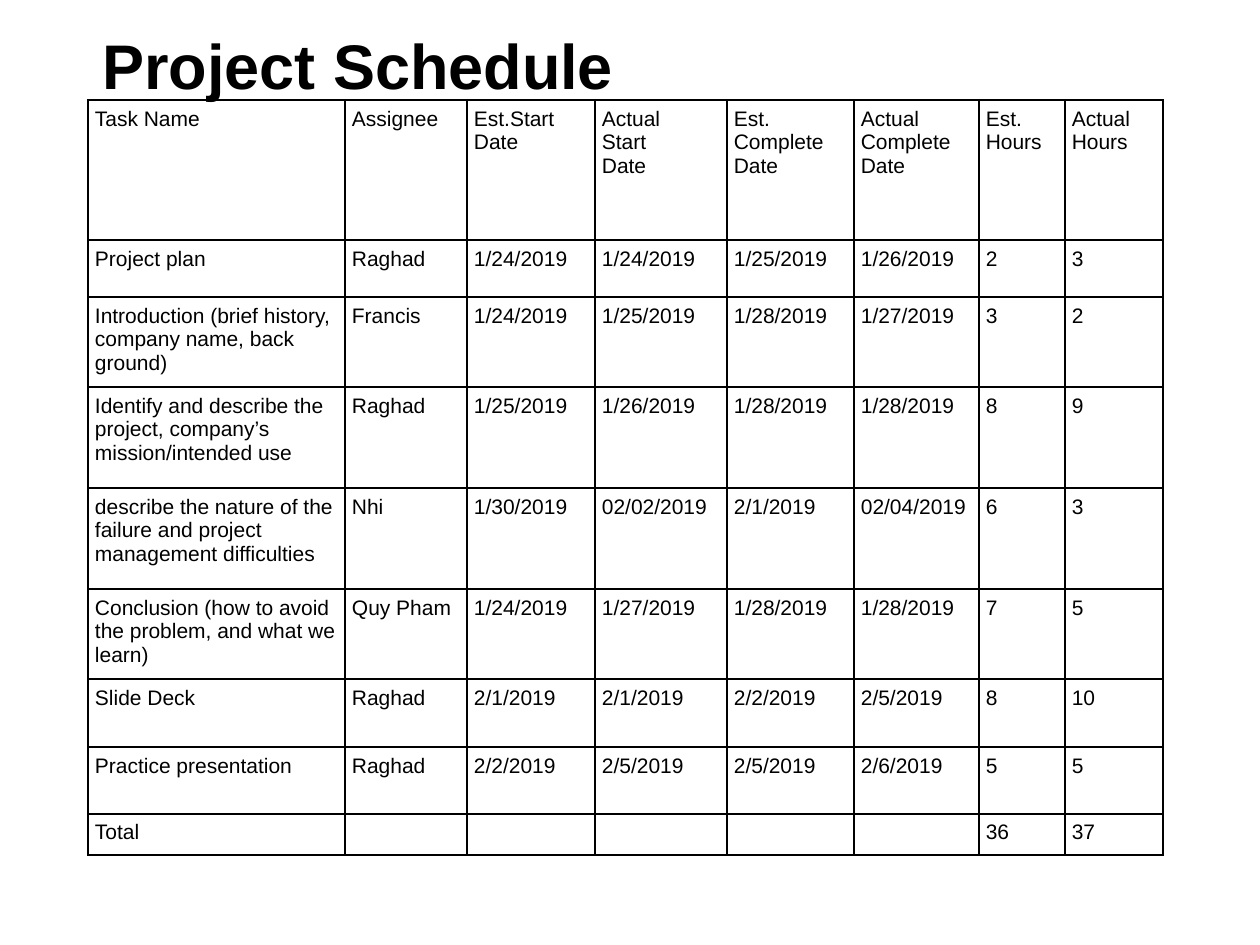
from pptx import Presentation
from pptx.dml.color import RGBColor
from pptx.oxml import parse_xml
from pptx.oxml.ns import nsdecls
from pptx.util import Emu, Pt

BLACK = RGBColor(0x00, 0x00, 0x00)
WHITE = RGBColor(0xFF, 0xFF, 0xFF)
COLUMN_WIDTHS = [257, 122, 128, 132, 127, 125, 86, 98]
ROW_HEIGHTS = [140, 57, 90, 101, 101, 90, 68, 67, 41]
SCHEDULE = [
    ["Task Name", "Assignee", "Est.Start\nDate", "Actual\nStart\nDate", "Est.\nComplete\nDate",
     "Actual\nComplete\nDate", "Est.\nHours", "Actual\nHours"],
    ["Project plan", "Raghad", "1/24/2019", "1/24/2019", "1/25/2019", "1/26/2019", "2", "3"],
    ["Introduction (brief history, company name, back ground)", "Francis",
     "1/24/2019", "1/25/2019", "1/28/2019", "1/27/2019", "3", "2"],
    ["Identify and describe the project, company’s mission/intended use", "Raghad",
     "1/25/2019", "1/26/2019", "1/28/2019", "1/28/2019", "8", "9"],
    ["describe the nature of the failure and project management difficulties", "Nhi",
     "1/30/2019", "02/02/2019", "2/1/2019", "02/04/2019", "6", "3"],
    ["Conclusion (how to avoid the problem, and what we learn)", "Quy Pham",
     "1/24/2019", "1/27/2019", "1/28/2019", "1/28/2019", "7", "5"],
    ["Slide Deck", "Raghad", "2/1/2019", "2/1/2019", "2/2/2019", "2/5/2019", "8", "10"],
    ["Practice presentation", "Raghad", "2/2/2019", "2/5/2019", "2/5/2019", "2/6/2019", "5", "5"],
    ["Total", "", "", "", "", "", "36", "37"],
]


def px(length):
    return Emu(round(length * 914400 / 126))


def write_text(frame, text, *, size, font="Arial", color=BLACK, bold=False):
    frame.word_wrap = True
    for index, line in enumerate(text.split("\n")):
        paragraph = frame.add_paragraph() if index else frame.paragraphs[0]
        if not line:
            paragraph._p.append(parse_xml(f'<a:endParaRPr {nsdecls("a")} sz="{size * 100}"/>'))
            continue
        run = paragraph.add_run()
        run.text = line
        run.font.name = font
        run.font.size = Pt(size)
        run.font.bold = bold
        run.font.color.rgb = color


class SlideBuilder:
    """Holds the style and the current slide, and adds elements to it."""

    title_size = 36
    cell_size = 12
    cell_margin = 7
    border_width = Pt(1)
    border_color = BLACK

    def __init__(self, presentation):
        self.slide = presentation.slides.add_slide(presentation.slide_layouts[6])
        self.slide.background.fill.solid()
        self.slide.background.fill.fore_color.rgb = WHITE

    def title(self, text, left, top, width, height):
        shape = self.slide.shapes.add_textbox(px(left), px(top), px(width), px(height))
        write_text(shape.text_frame, text, size=self.title_size, bold=True)

    def table(self, rows, left, top, widths, heights):
        shape = self.slide.shapes.add_table(
            len(rows), len(widths), px(left), px(top), px(sum(widths)), px(sum(heights)))
        table = shape.table
        table.first_row = table.horz_banding = False
        for column, width in zip(table.columns, widths):
            column.width = px(width)
        for row, height, texts in zip(table.rows, heights, rows):
            row.height = px(height)
            for cell, text in zip(row.cells, texts):
                self.style_cell(cell)
                write_text(cell.text_frame, text, size=self.cell_size)

    def style_cell(self, cell):
        margin = px(self.cell_margin)
        cell.margin_left = cell.margin_right = cell.margin_top = cell.margin_bottom = margin
        properties = cell._tc.get_or_add_tcPr()
        for side in "LRTB":
            properties.append(parse_xml(
                f'<a:ln{side} {nsdecls("a")} w="{self.border_width}"><a:solidFill>'
                f'<a:srgbClr val="{self.border_color}"/></a:solidFill></a:ln{side}>'))
        cell.fill.background()


def main():
    presentation = Presentation()
    presentation.slide_width = px(1260)
    presentation.slide_height = px(945)
    builder = SlideBuilder(presentation)
    builder.title("Project Schedule", 90, 20, 905, 90)
    builder.table(SCHEDULE, 88, 100, COLUMN_WIDTHS, ROW_HEIGHTS)
    presentation.save("out.pptx")


if __name__ == "__main__":
    main()
